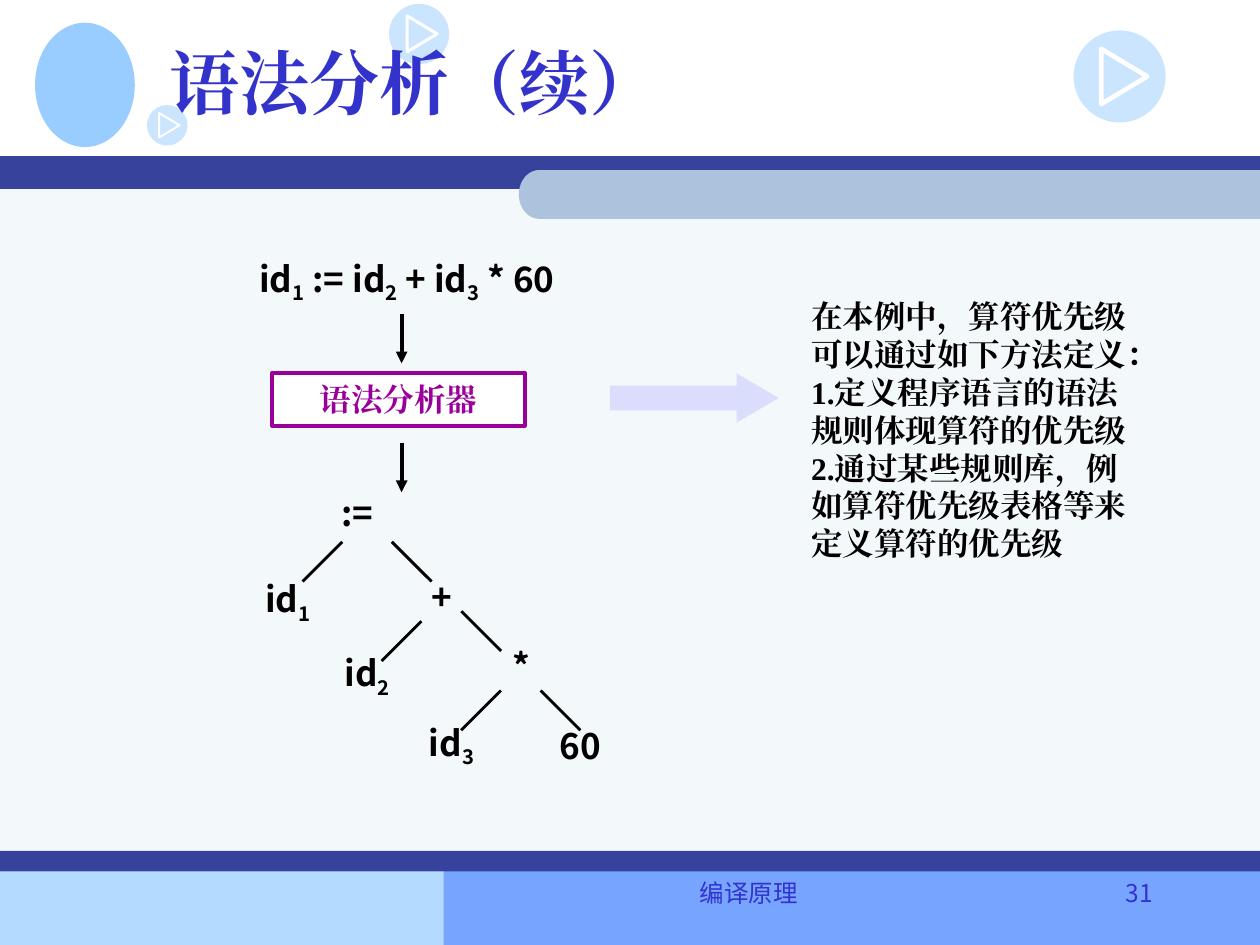
from math import cos, pi, sin

from lxml import etree
from pptx import Presentation
from pptx.dml.color import RGBColor
from pptx.enum.shapes import MSO_CONNECTOR, MSO_SHAPE as SHAPE
from pptx.enum.text import MSO_ANCHOR as ANCHOR, PP_ALIGN as ALIGN
from pptx.oxml.ns import qn
from pptx.util import Pt

COLORS = {
    "body": "F3F8FB", "navy": "36429B", "tab": "ADC3DD",
    "footer_left": "B5DAFF", "footer_right": "77A4FF",
    "sky": "99CCFF", "title": "3333CC", "purple": "990099",
    "arrow": "CCCCFF", "black": "000000", "white": "FFFFFF",
}
SANS, SERIF, FOOTER = "Noto Sans CJK SC", "Times New Roman", "Noto Sans CJK KR"


def paint(shape, color, opacity=100):
    """Give a shape a flat fill with neither outline nor shadow."""
    shape.shadow.inherit = False
    shape.line.fill.background()
    shape.fill.solid()
    shape.fill.fore_color.rgb = RGBColor.from_string(COLORS[color])
    if opacity < 100:
        srgb = shape.fill._xPr.find(".//" + qn("a:srgbClr"))
        etree.SubElement(srgb, qn("a:alpha"), val=str(opacity * 1000))


def write(shape, lines, size, font, color, bold=True, align=ALIGN.CENTER,
          anchor=ANCHOR.MIDDLE, wrap=False):
    """Fill a shape with paragraphs; text between bars is subscript."""
    frame = shape.text_frame
    frame.word_wrap = wrap
    frame.vertical_anchor = anchor
    for index, line in enumerate(lines):
        paragraph = frame.add_paragraph() if index else frame.paragraphs[0]
        paragraph.alignment = align
        paragraph.font.size = Pt(size)
        paragraph.font.bold = bold
        paragraph.font.name = font
        paragraph.font.color.rgb = RGBColor.from_string(COLORS[color])
        etree.SubElement(paragraph.font._rPr, qn("a:ea"), typeface=font)
        for position, part in enumerate(line.split("|")):
            run = paragraph.add_run()
            run.text = part
            if position % 2:
                run.font._rPr.set("baseline", "-25000")


presentation = Presentation()
presentation.slide_width, presentation.slide_height = Pt(720), Pt(540)
slide = presentation.slides.add_slide(presentation.slide_layouts[6])
shapes = slide.shapes

# Background bands
for left, top, width, height, color in [
    (0, 498, 306, 42, "footer_left"),
    (253.5, 497.5, 466.5, 42.5, "footer_right"),
    (0, 100.8, 720, 396.7, "body"),
    (0, 89.3, 720, 18.7, "navy"),
    (0, 486.2, 720, 11.8, "navy"),
]:
    paint(shapes.add_shape(SHAPE.RECTANGLE, Pt(left), Pt(top), Pt(width), Pt(height)), color)

# Tab with a rounded left end
tab_top, tab_bottom, tab_left, radius_x = 97.2, 125.1, 296.5, 11.7
middle, radius_y = (tab_top + tab_bottom) / 2, (tab_bottom - tab_top) / 2
curve = [(tab_left + radius_x * (1 - sin(pi * step / 24)), middle - radius_y * cos(pi * step / 24))
         for step in range(25)]
builder = shapes.build_freeform(Pt(720), Pt(tab_top))
builder.add_line_segments([(Pt(x), Pt(y)) for x, y in curve + [(720, tab_bottom)]])
paint(builder.convert_to_shape(), "tab")

# Plain emblem and play badges
paint(shapes.add_shape(SHAPE.OVAL, Pt(20), Pt(13), Pt(57), Pt(71)), "sky")
for left, top, diameter in [(222.3, 2.2, 34.4), (613.5, 17.4, 52.6), (84, 60, 23.2)]:
    badge = shapes.add_shape(SHAPE.OVAL, Pt(left), Pt(top), Pt(diameter), Pt(diameter))
    paint(badge, "sky", 50)
    corners = [(Pt(left + diameter * x), Pt(top + diameter * y))
               for x, y in [(0.3, 0.2), (0.8, 0.5), (0.3, 0.8)]]
    builder = shapes.build_freeform(*corners[0])
    builder.add_line_segments(corners[1:])
    triangle = builder.convert_to_shape()
    triangle.shadow.inherit = False
    triangle.fill.background()
    triangle.line.color.rgb = RGBColor.from_string(COLORS["white"])
    triangle.line.width = Pt(round(diameter * 0.05, 2))

# Title and footer
title = shapes.add_textbox(Pt(90), Pt(4.3), Pt(612), Pt(84.2))
write(title, ["语法分析（续）"], 40, SERIF, "title", align=ALIGN.LEFT, wrap=True)
for left, width, text, align in [(246.2, 363.6, "编译原理", ALIGN.CENTER),
                                 (609.8, 56.2, "31", ALIGN.RIGHT)]:
    footer = shapes.add_textbox(Pt(left), Pt(498.2), Pt(width), Pt(36))
    write(footer, [text], 14, FOOTER, "title", False, align, ANCHOR.TOP, True)

# Parser box
parser = shapes.add_shape(SHAPE.RECTANGLE, Pt(155.5), Pt(213.1), Pt(144.4), Pt(30.2))
paint(parser, "white")
parser.line.color.rgb = RGBColor.from_string(COLORS["purple"])
parser.line.width = Pt(2.25)
write(parser, ["语法分析器"], 18, SERIF, "purple")

# Statement and syntax tree nodes
for left, top, width, height, text in [
    (82, 151.2, 301, 18.7, "id|1| := id|2| + id|3| * 60"),
    (184.3, 281.5, 39.6, 23, ":="),
    (139, 332.6, 51, 22.3, "id|1"),
    (229.7, 326.9, 45.4, 28, "+"),
    (184.3, 372.2, 51, 28, "id|2"),
    (275, 366.5, 45.4, 28, "*"),
    (235.4, 411.8, 45.4, 28, "id|3"),
    (308.9, 411.8, 45.4, 28, "60"),
]:
    node = shapes.add_textbox(Pt(left), Pt(top), Pt(width), Pt(height))
    write(node, [text], 20, SANS, "black")

# Flow arrows and tree branches
flow = [(229.5, top, 229.5, top + 28.3) for top in (179.3, 253)]
branches = [(x, y, x + direction * 22.7, y + 22.7) for x, y, direction in [
    (195.6, 309.6, -1), (223.9, 309.6, 1), (240.8, 355, -1),
    (263.6, 349.3, 1), (286.2, 394.6, -1), (308.9, 394.6, 1)]]
for ends in flow + branches:
    line = shapes.add_connector(MSO_CONNECTOR.STRAIGHT, *[Pt(value) for value in ends])
    line.line.color.rgb = RGBColor.from_string(COLORS["black"])
    line.line.width = Pt(2.25 if ends in flow else 1.64)
    if ends in flow:
        etree.SubElement(line.line._get_or_add_ln(), qn("a:tailEnd"), type="triangle")
    etree.SubElement(line._element.spPr, qn("a:effectLst"))

# Explanation
arrow = shapes.add_shape(SHAPE.RIGHT_ARROW, Pt(348.5), Pt(213.3), Pt(96.4), Pt(28.2))
arrow.adjustments[0], arrow.adjustments[1] = 0.5, 0.85
paint(arrow, "arrow", 60)
explanation = shapes.add_textbox(Pt(456.5), Pt(151.2), Pt(201.6), Pt(188.6))
write(explanation, [
    "在本例中，算符优先级可以通过如下方法定义：",
    "1.定义程序语言的语法规则体现算符的优先级",
    "2.通过某些规则库，例如算符优先级表格等来定义算符的优先级",
], 18, SERIF, "black", align=ALIGN.LEFT, wrap=True)

presentation.save("out.pptx")
